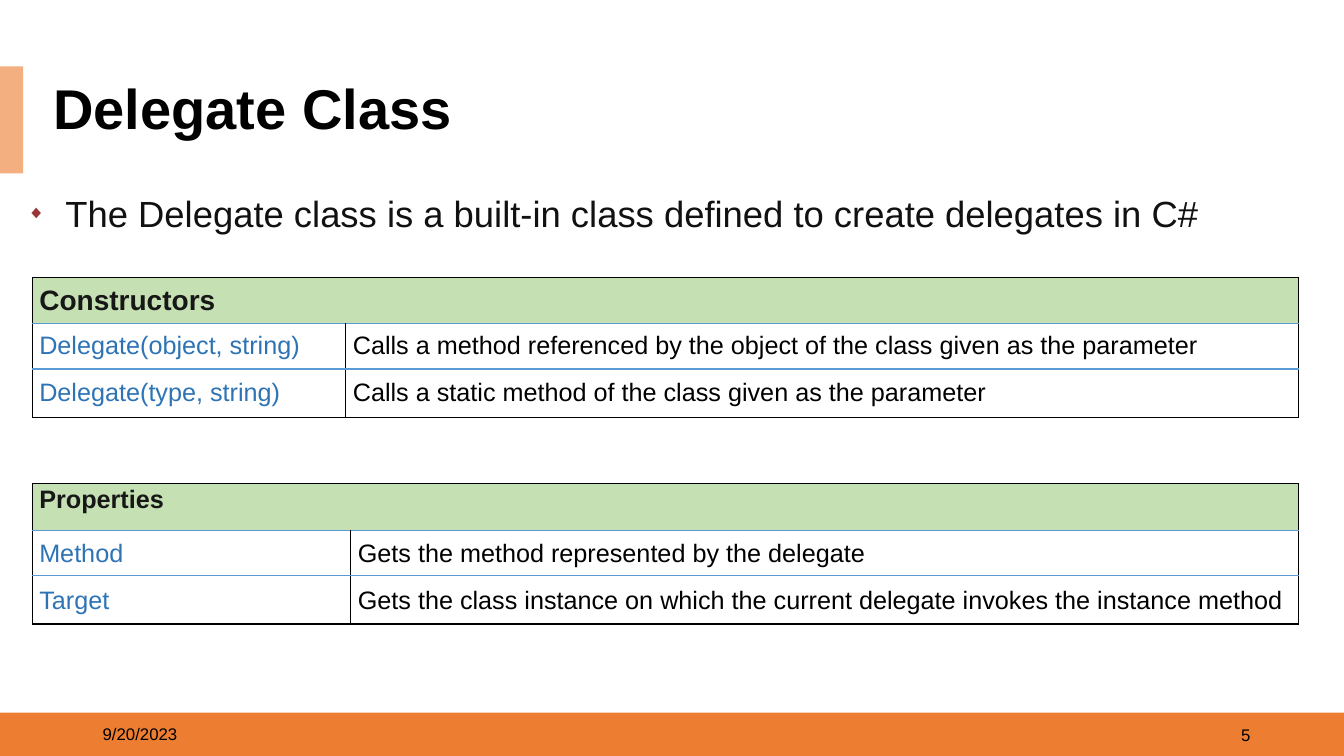
import pptx
import pptx.dml.color
import pptx.enum.shapes
import pptx.enum.text
import pptx.oxml
import pptx.util
from lxml import etree
from pptx.util import Inches

ALIGN = pptx.enum.text.PP_ALIGN
MIDDLE = pptx.enum.text.MSO_ANCHOR.MIDDLE
TOP = pptx.enum.text.MSO_ANCHOR.TOP
BLACK, WHITE, INK = "000000", "FFFFFF", "171717"
ORANGE, PEACH, GREEN = "ED7D31", "F4AF80", "C5E0B3"
TERM_BLUE, RULE_BLUE = "2E74B5", "5B9BD5"


def color(value):
    return pptx.dml.color.RGBColor.from_string(value)


def add_xml(parent, tag, **attributes):
    child = etree.SubElement(parent, pptx.oxml.ns.qn(tag))
    for key, value in attributes.items():
        child.set(key, str(value))
    return child


class Deck:
    font = "Arial"

    def __init__(self, width, height):
        self.presentation = pptx.Presentation()
        self.presentation.slide_width = Inches(width)
        self.presentation.slide_height = Inches(height)
        self.slide = None

    def title_slide(self, text, box):
        layout = self.presentation.slide_layouts[5]
        self.slide = self.presentation.slides.add_slide(layout)
        title = self.slide.shapes.title
        title.left, title.top, title.width, title.height = map(Inches, box)
        title.fill.solid()
        title.fill.fore_color.rgb = color(WHITE)
        title.text_frame.auto_size = pptx.enum.text.MSO_AUTO_SIZE.NONE
        title.text_frame.vertical_anchor = MIDDLE
        paragraph = self.set_text(title.text_frame, text, 40, bold=True)
        paragraph.line_spacing = 0.9

    def set_text(self, frame, text, size, ink=BLACK, bold=False, align=ALIGN.LEFT):
        paragraph = frame.paragraphs[0]
        paragraph.text = text
        paragraph.alignment = align
        paragraph.font.name = self.font
        paragraph.font.size = pptx.util.Pt(size)
        paragraph.font.bold = bold
        paragraph.font.color.rgb = color(ink)
        return paragraph

    def bar(self, box, fill):
        kind = pptx.enum.shapes.MSO_SHAPE.RECTANGLE
        bar = self.slide.shapes.add_shape(kind, *map(Inches, box))
        bar.shadow.inherit = False
        bar.fill.solid()
        bar.fill.fore_color.rgb = color(fill)
        bar.line.fill.background()

    def text(self, text, box, size, anchor=MIDDLE, **style):
        frame = self.slide.shapes.add_textbox(*map(Inches, box)).text_frame
        frame.word_wrap = True
        frame.vertical_anchor = anchor
        return self.set_text(frame, text, size, **style)

    def bullet(self, text, box):
        paragraph = self.text(text, box, 26, anchor=TOP, ink="111111", align=ALIGN.JUSTIFY)
        paragraph.line_spacing = 1.5
        paragraph.space_before = paragraph.space_after = pptx.util.Pt(6)
        properties = paragraph._p.get_or_add_pPr()
        properties.set("marL", str(Inches(0.38)))
        properties.set("indent", str(Inches(-0.38)))
        font_defaults = properties.find(pptx.oxml.ns.qn("a:defRPr"))
        add_xml(add_xml(properties, "a:buClr"), "a:srgbClr", val="973735")
        add_xml(properties, "a:buSzPct", val=50000)
        add_xml(properties, "a:buFont", typeface=self.font)
        add_xml(properties, "a:buChar", char="◆")
        properties.append(font_defaults)

    def borders(self, cell, **sides):
        properties = cell._tc.get_or_add_tcPr()
        for position, side in enumerate("LRTB"):
            line = add_xml(properties, f"a:ln{side}", w=pptx.util.Pt(1))
            add_xml(add_xml(line, "a:solidFill"), "a:srgbClr", val=sides.get(side, BLACK))
            properties.insert(position, line)

    def member_table(self, heading, members, top, term_width, heading_size,
                     heading_anchor, align, heading_spacing=None, spacing=None, after=None):
        width, heights = 12.56, (0.46, 0.45, 0.48)
        rows = [(heading, "")] + members
        table = self.slide.shapes.add_table(
            len(rows), 2, Inches(0.32), Inches(top), Inches(width), Inches(sum(heights))).table
        table.first_row = table.horz_banding = False
        for column, column_width in zip(table.columns, (term_width, width - term_width)):
            column.width = Inches(column_width)
        table.cell(0, 0).merge(table.cell(0, 1))
        for r, row in enumerate(rows):
            table.rows[r].height = Inches(heights[r])
            for c, text in enumerate(row):
                cell = table.cell(r, c)
                cell.margin_left = cell.margin_right = Inches(0.07)
                cell.margin_top = cell.margin_bottom = 0
                cell.fill.solid()
                cell.fill.fore_color.rgb = color(WHITE if r else GREEN)
                self.borders(cell, T=RULE_BLUE if r else BLACK,
                             B=BLACK if r == len(rows) - 1 else RULE_BLUE)
                if r:
                    cell.vertical_anchor = MIDDLE
                    paragraph = self.set_text(cell.text_frame, text, 18,
                                              BLACK if c else TERM_BLUE, align=align)
                    paragraph.line_spacing, paragraph.space_after = spacing, after
                elif c == 0:
                    cell.vertical_anchor = heading_anchor
                    paragraph = self.set_text(cell.text_frame, text, heading_size, INK, bold=True)
                    paragraph.line_spacing = heading_spacing


def main():
    deck = Deck(13.33, 7.5)

    # Title and accent bars
    deck.title_slide("Delegate Class", (0.43, 0.79, 12.45, 0.63))
    deck.bar((0, 7.07, 13.33, 0.44), ORANGE)
    deck.bar((0, 0.66, 0.23, 1.06), PEACH)

    # Footer
    deck.text("9/20/2023", (0.92, 7.08, 3, 0.4), 12)
    deck.text("5", (9.5, 7.09, 3, 0.4), 12, align=ALIGN.RIGHT)

    # Class members
    deck.member_table("Properties", [
        ("Method", "Gets the method represented by the delegate"),
        ("Target", "Gets the class instance on which the current delegate "
                   "invokes the instance method"),
    ], 4.8, 3.16, 18, TOP, ALIGN.LEFT, 1.07, 1.07, pptx.util.Pt(8))
    deck.member_table("Constructors", [
        ("Delegate(object, string)",
         "Calls a method referenced by the object of the class given as the parameter"),
        ("Delegate(type, string)",
         "Calls a static method of the class given as the parameter"),
    ], 2.75, 3.11, 20, MIDDLE, ALIGN.JUSTIFY)

    # Definition
    deck.bullet("The Delegate class is a built-in class defined to create delegates in C#",
                (0.17, 1.63, 12.72, 0.68))

    deck.presentation.save("out.pptx")


if __name__ == "__main__":
    main()
